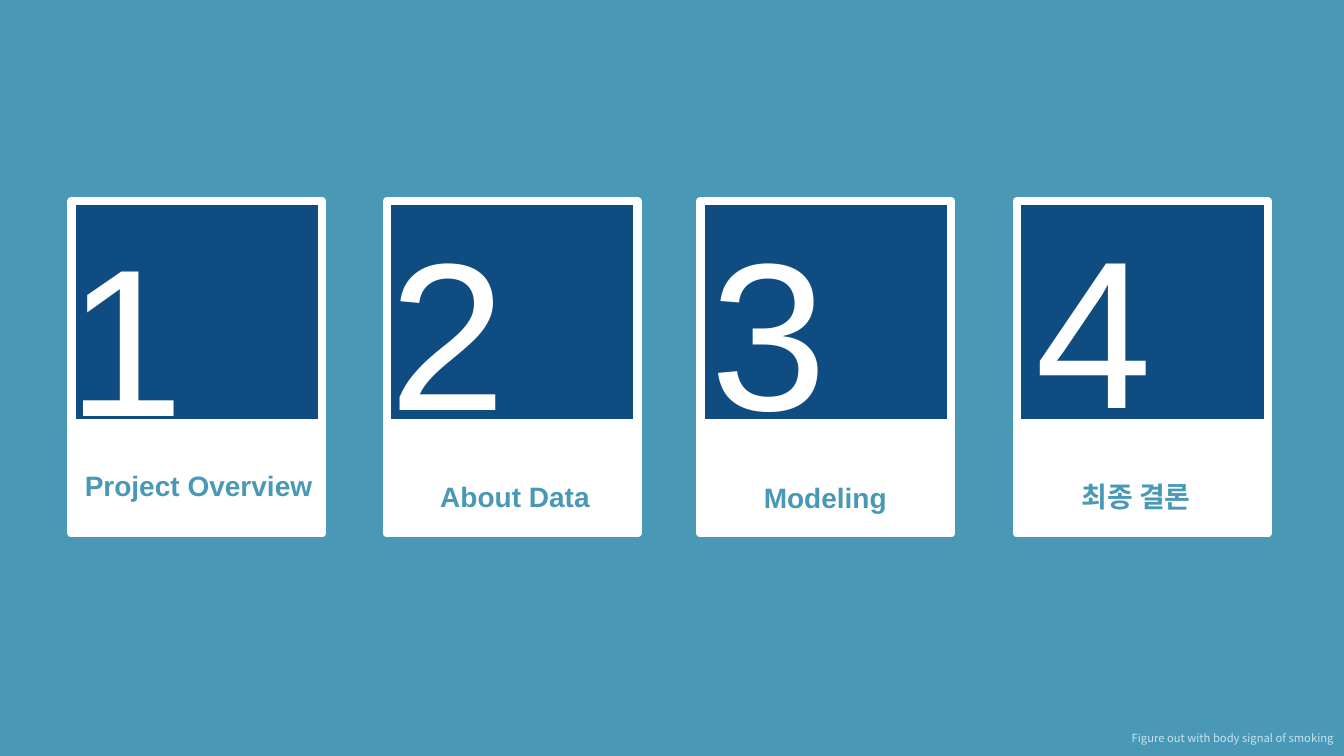
import pptx
import pptx.dml.color
import pptx.enum.shapes
import pptx.enum.text
import pptx.util
from pptx.util import Cm

COLORS = {"background": "4999B6", "navy": "0F4C81", "white": "FFFFFF", "pale": "C9E4ED"}

# Positions in cm; number and title are (left, top) of their text boxes
CHAPTERS = [
    {"number": "1", "title": "Project Overview", "card_left": 1.8, "number_at": (0.76, 4.95),
     "title_at": (0, 11.56), "spacing": 1.15, "indent": 1.27},
    {"number": "2", "title": "About Data", "card_left": 9.75, "number_at": (8.86, 4.8),
     "title_at": (8.61, 11.53), "spacing": 1.5, "indent": 0},
    {"number": "3", "title": "Modeling", "card_left": 17.65, "number_at": (16.94, 4.8),
     "title_at": (16.43, 11.56), "spacing": 1.5, "indent": 0},
    {"number": "4", "title": "최종 결론", "card_left": 25.63, "number_at": (25.15, 4.75),
     "title_at": (24.26, 11.53), "spacing": 1.5, "indent": 0},
]
FOOTER = "Figure out with body signal of smoking"

CARD_TOP, CARD_WIDTH, CARD_HEIGHT = 5.06, 6.32, 8.38
LABEL_HEIGHT = 2.77
LABEL_TOP = CARD_TOP + CARD_HEIGHT - LABEL_HEIGHT
NUMBER_SIZE = (4.85, 6.93)
TITLE_SIZE = (8.74, 1.09)


def rgb(name):
    return pptx.dml.color.RGBColor.from_string(COLORS[name])


def add_panel(slide, left, top, height, fill):
    panel = slide.shapes.add_shape(
        pptx.enum.shapes.MSO_SHAPE.RECTANGLE, Cm(left), Cm(top), Cm(CARD_WIDTH), Cm(height))
    panel.shadow.inherit = False
    panel.fill.solid()
    panel.fill.fore_color.rgb = rgb(fill)
    panel.line.color.rgb = rgb("white")
    panel.line.width = pptx.util.Pt(6)


def add_text(slide, text, at, size, points, color, align="CENTER", font="Arial",
             bold=False, spacing=1.0, indent=0, inset=0.25, grow=True):
    """Add a one-line text box; lengths are in cm."""
    frame = slide.shapes.add_textbox(*map(Cm, at + size)).text_frame
    frame.word_wrap = True
    frame.margin_left = frame.margin_right = Cm(0.25)
    frame.margin_top = frame.margin_bottom = Cm(inset)
    if grow:
        frame.auto_size = pptx.enum.text.MSO_AUTO_SIZE.SHAPE_TO_FIT_TEXT
    frame.text = text
    paragraph = frame.paragraphs[0]
    paragraph.alignment = pptx.enum.text.PP_ALIGN[align]
    paragraph.line_spacing = spacing
    if indent:
        paragraph._p.get_or_add_pPr().set("marL", str(Cm(indent)))
    run_font = paragraph.runs[0].font
    run_font.name = font
    run_font.size = pptx.util.Pt(points)
    run_font.bold = bold
    run_font.color.rgb = rgb(color)


def add_chapter(slide, chapter):
    add_panel(slide, chapter["card_left"], CARD_TOP, CARD_HEIGHT, "navy")
    add_panel(slide, chapter["card_left"], LABEL_TOP, LABEL_HEIGHT, "white")
    add_text(slide, chapter["number"], chapter["number_at"], NUMBER_SIZE, 150, "white")
    add_text(slide, chapter["title"], chapter["title_at"], TITLE_SIZE, 20, "background",
             bold=True, spacing=chapter["spacing"], indent=chapter["indent"],
             inset=0.13, grow=False)


def main():
    deck = pptx.Presentation()
    deck.slide_width, deck.slide_height = Cm(33.87), Cm(19.05)
    slide = deck.slides.add_slide(deck.slide_layouts[6])
    slide.background.fill.solid()
    slide.background.fill.fore_color.rgb = rgb("background")
    for chapter in CHAPTERS:
        add_chapter(slide, chapter)
    add_text(slide, FOOTER, (28.22, 18.19), (5.65, 0.86), 8, "pale",
             align="RIGHT", font="Noto Sans CJK KR", spacing=1.15)
    deck.save("out.pptx")


if __name__ == "__main__":
    main()
